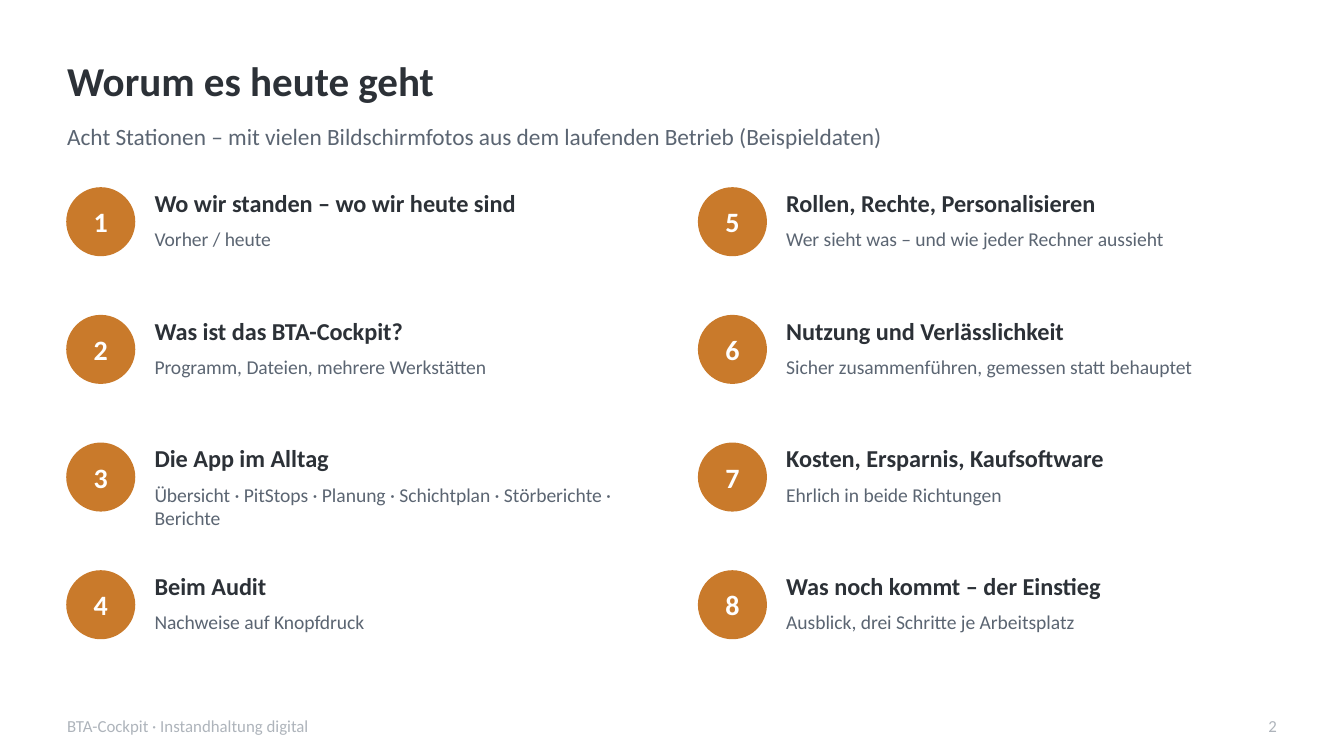
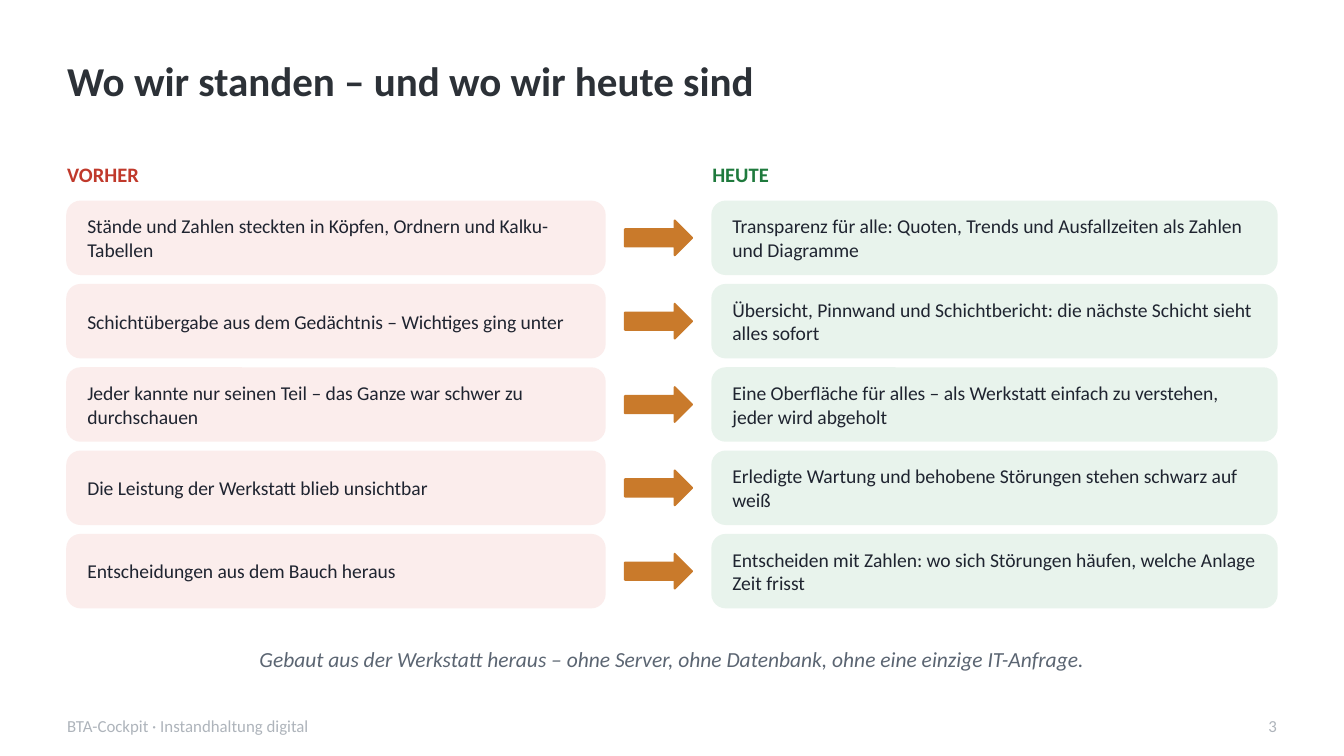
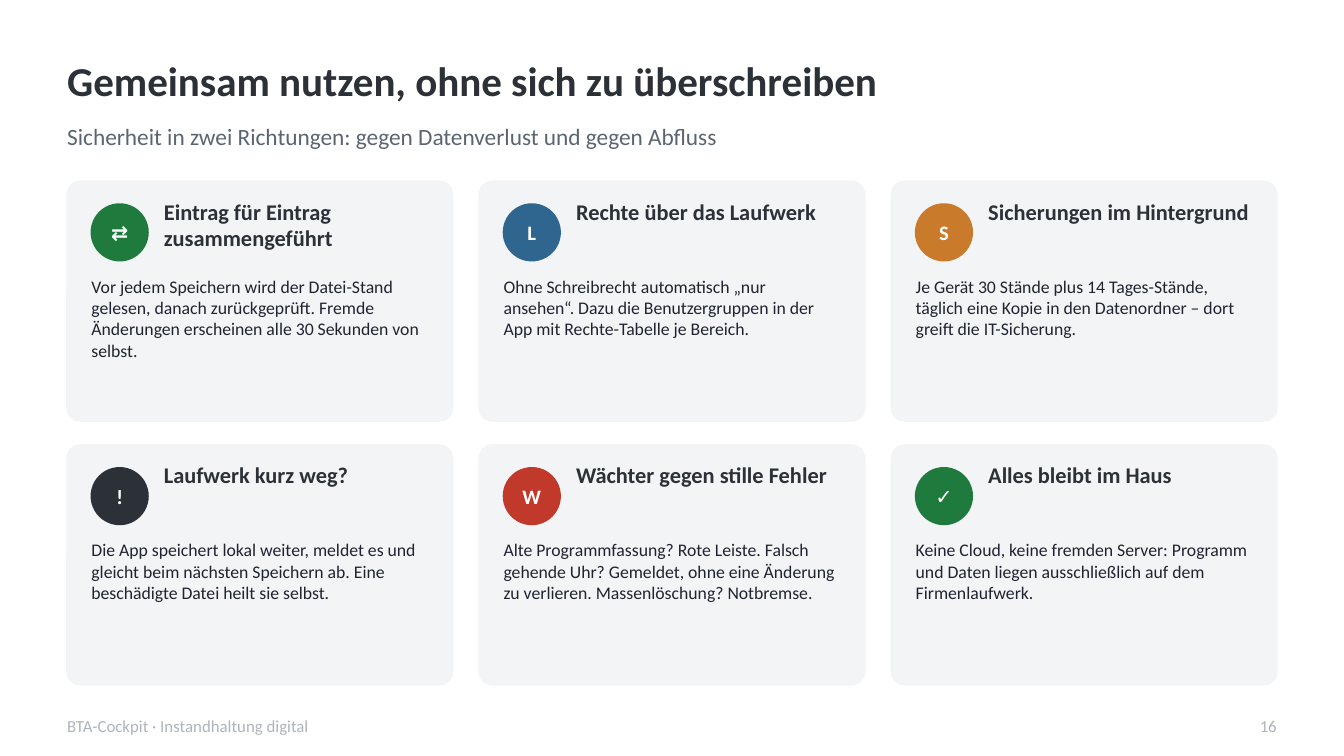
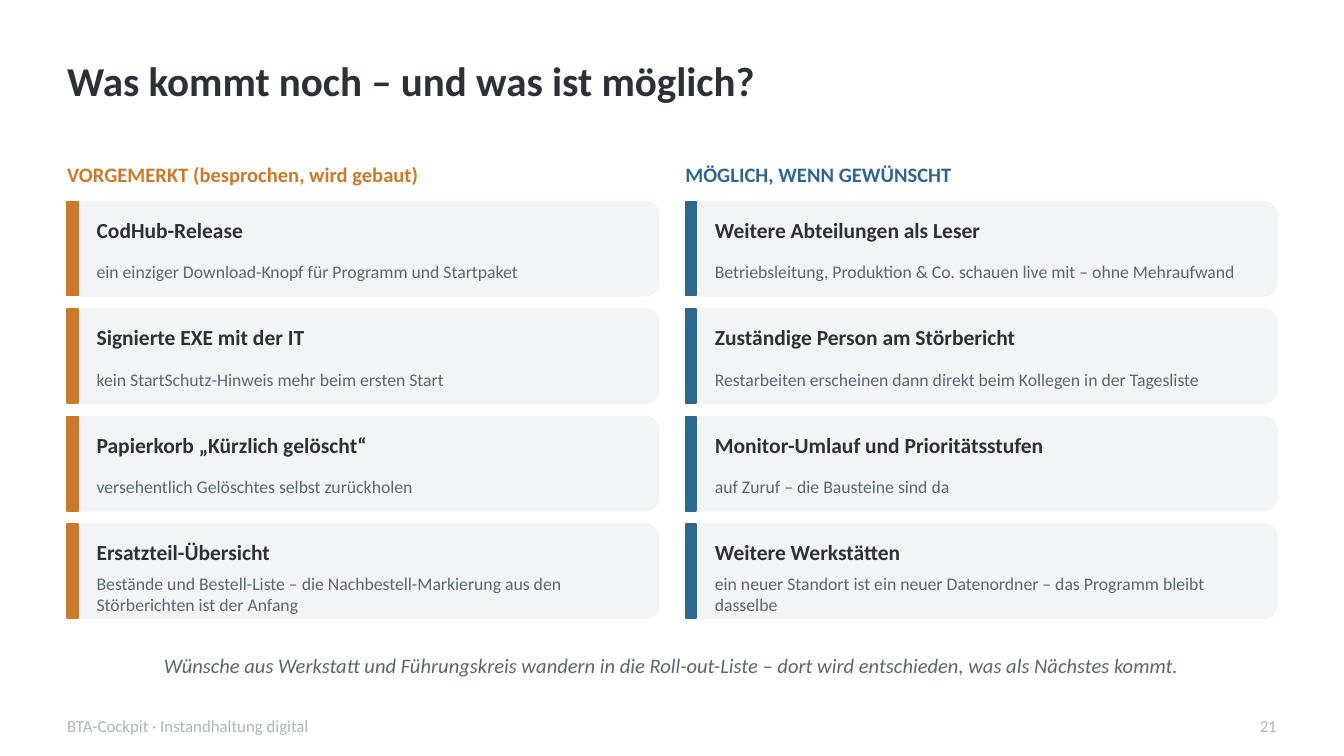
from pptx import Presentation
from pptx.dml.color import RGBColor
from pptx.enum.shapes import MSO_SHAPE
from pptx.enum.text import MSO_ANCHOR, PP_ALIGN
from pptx.util import Pt

FONT = "Calibri"
COLORS = {
    "ink": "2C3137", "body": "1F2430", "muted": "5B6572", "footer": "AEB4BB",
    "white": "FFFFFF", "panel": "F3F4F6", "orange": "C97A2B", "blue": "2F6690",
    "green": "1F7A3D", "red": "C0392B", "pale_red": "FBEDEC", "pale_green": "E8F3EC",
}
PAGE_W, PAGE_H = 720, 405
MARGIN = 36
CONTENT_W = PAGE_W - 2 * MARGIN
RADIUS = 7.2
FOOTER = "BTA-Cockpit · Instandhaltung digital"

AGENDA = {
    "title": "Worum es heute geht",
    "subtitle": "Acht Stationen – mit vielen Bildschirmfotos aus dem laufenden Betrieb (Beispieldaten)",
    "page": 2,
    "stations": [
        ("Wo wir standen – wo wir heute sind", "Vorher / heute"),
        ("Was ist das BTA-Cockpit?", "Programm, Dateien, mehrere Werkstätten"),
        ("Die App im Alltag",
         "Übersicht · PitStops · Planung · Schichtplan · Störberichte · Berichte"),
        ("Beim Audit", "Nachweise auf Knopfdruck"),
        ("Rollen, Rechte, Personalisieren", "Wer sieht was – und wie jeder Rechner aussieht"),
        ("Nutzung und Verlässlichkeit", "Sicher zusammenführen, gemessen statt behauptet"),
        ("Kosten, Ersparnis, Kaufsoftware", "Ehrlich in beide Richtungen"),
        ("Was noch kommt – der Einstieg", "Ausblick, drei Schritte je Arbeitsplatz"),
    ],
}
COMPARISON = {
    "title": "Wo wir standen – und wo wir heute sind",
    "page": 3,
    "before": "VORHER",
    "today": "HEUTE",
    "pairs": [
        ("Stände und Zahlen steckten in Köpfen, Ordnern und Kalku-Tabellen",
         "Transparenz für alle: Quoten, Trends und Ausfallzeiten als Zahlen und Diagramme"),
        ("Schichtübergabe aus dem Gedächtnis – Wichtiges ging unter",
         "Übersicht, Pinnwand und Schichtbericht: die nächste Schicht sieht alles sofort"),
        ("Jeder kannte nur seinen Teil – das Ganze war schwer zu durchschauen",
         "Eine Oberfläche für alles – als Werkstatt einfach zu verstehen, jeder wird abgeholt"),
        ("Die Leistung der Werkstatt blieb unsichtbar",
         "Erledigte Wartung und behobene Störungen stehen schwarz auf weiß"),
        ("Entscheidungen aus dem Bauch heraus",
         "Entscheiden mit Zahlen: wo sich Störungen häufen, welche Anlage Zeit frisst"),
    ],
    "closing": "Gebaut aus der Werkstatt heraus – ohne Server, ohne Datenbank, "
               "ohne eine einzige IT-Anfrage.",
}
SAFETY = {
    "title": "Gemeinsam nutzen, ohne sich zu überschreiben",
    "subtitle": "Sicherheit in zwei Richtungen: gegen Datenverlust und gegen Abfluss",
    "page": 16,
    "cards": [
        ("⇄", "green", "Eintrag für Eintrag zusammengeführt",
         "Vor jedem Speichern wird der Datei-Stand gelesen, danach zurückgeprüft. "
         "Fremde Änderungen erscheinen alle 30 Sekunden von selbst."),
        ("L", "blue", "Rechte über das Laufwerk",
         "Ohne Schreibrecht automatisch „nur ansehen“. Dazu die Benutzergruppen "
         "in der App mit Rechte-Tabelle je Bereich."),
        ("S", "orange", "Sicherungen im Hintergrund",
         "Je Gerät 30 Stände plus 14 Tages-Stände, täglich eine Kopie in den "
         "Datenordner – dort greift die IT-Sicherung."),
        ("!", "ink", "Laufwerk kurz weg?",
         "Die App speichert lokal weiter, meldet es und gleicht beim nächsten "
         "Speichern ab. Eine beschädigte Datei heilt sie selbst."),
        ("W", "red", "Wächter gegen stille Fehler",
         "Alte Programmfassung? Rote Leiste. Falsch gehende Uhr? Gemeldet, ohne eine "
         "Änderung zu verlieren. Massenlöschung? Notbremse."),
        ("✓", "green", "Alles bleibt im Haus",
         "Keine Cloud, keine fremden Server: Programm und Daten liegen "
         "ausschließlich auf dem Firmenlaufwerk."),
    ],
}
OUTLOOK = {
    "title": "Was kommt noch – und was ist möglich?",
    "page": 21,
    "columns": [
        ("VORGEMERKT (besprochen, wird gebaut)", "orange", [
            ("CodHub-Release", "ein einziger Download-Knopf für Programm und Startpaket"),
            ("Signierte EXE mit der IT", "kein StartSchutz-Hinweis mehr beim ersten Start"),
            ("Papierkorb „Kürzlich gelöscht“", "versehentlich Gelöschtes selbst zurückholen"),
            ("Ersatzteil-Übersicht",
             "Bestände und Bestell-Liste – die Nachbestell-Markierung aus den "
             "Störberichten ist der Anfang"),
        ]),
        ("MÖGLICH, WENN GEWÜNSCHT", "blue", [
            ("Weitere Abteilungen als Leser",
             "Betriebsleitung, Produktion & Co. schauen live mit – ohne Mehraufwand"),
            ("Zuständige Person am Störbericht",
             "Restarbeiten erscheinen dann direkt beim Kollegen in der Tagesliste"),
            ("Monitor-Umlauf und Prioritätsstufen", "auf Zuruf – die Bausteine sind da"),
            ("Weitere Werkstätten",
             "ein neuer Standort ist ein neuer Datenordner – das Programm bleibt dasselbe"),
        ]),
    ],
    "closing": "Wünsche aus Werkstatt und Führungskreis wandern in die Roll-out-Liste – "
               "dort wird entschieden, was als Nächstes kommt.",
}


def rgb(name):
    """Return the palette colour of that name."""
    return RGBColor.from_string(COLORS[name])


def write(shape, text, size, color, bold=False, italic=False, align=PP_ALIGN.LEFT,
          anchor=MSO_ANCHOR.MIDDLE, left=0, right=0):
    """Fill a shape's text frame with one formatted paragraph."""
    frame = shape.text_frame
    frame.word_wrap = True
    frame.vertical_anchor = anchor
    frame.margin_left, frame.margin_right = Pt(left), Pt(right)
    frame.margin_top = frame.margin_bottom = 0
    paragraph = frame.paragraphs[0]
    paragraph.alignment = align
    run = paragraph.add_run()
    run.text = text
    font = run.font
    font.name, font.size, font.bold, font.italic = FONT, Pt(size), bold, italic
    font.color.rgb = rgb(color)


def add_text(slide, x, y, w, h, text, size, color, **style):
    """Add a text box without insets."""
    box = slide.shapes.add_textbox(Pt(x), Pt(y), Pt(w), Pt(h))
    write(box, text, size, color, **style)


def add_block(slide, kind, x, y, w, h, color):
    """Add a preset shape whose line matches its fill."""
    shape = slide.shapes.add_shape(kind, Pt(x), Pt(y), Pt(w), Pt(h))
    shape.shadow.inherit = False
    shape.fill.solid()
    shape.fill.fore_color.rgb = rgb(color)
    shape.line.color.rgb = rgb(color)
    shape.line.width = Pt(1)
    if kind == MSO_SHAPE.ROUNDED_RECTANGLE:
        shape.adjustments[0] = RADIUS / min(w, h)
    return shape


def add_badge(slide, x, y, diameter, text, size, color):
    """Add a coloured circle with a white centred sign."""
    circle = add_block(slide, MSO_SHAPE.OVAL, x, y, diameter, diameter, color)
    write(circle, text, size, "white", bold=True, align=PP_ALIGN.CENTER)


def add_column_heading(slide, x, w, text, color):
    """Add the small heading above a column of cards."""
    add_text(slide, x, 82.8, w, 21.6, text, 11, color, bold=True)


def add_closing(slide, y, text, size):
    """Add the centred closing sentence in italics."""
    add_text(slide, MARGIN, y, CONTENT_W, 28.8, text, size, "muted",
             italic=True, align=PP_ALIGN.CENTER)


def start_slide(prs, content):
    """Add a slide with title, optional subtitle, footer and page number."""
    slide = prs.slides.add_slide(prs.slide_layouts[5])
    title = slide.shapes.title
    title.left, title.top, title.width, title.height = (
        Pt(MARGIN), Pt(23), Pt(CONTENT_W), Pt(39.6))
    write(title, content["title"], 22, "ink", bold=True)
    if "subtitle" in content:
        add_text(slide, MARGIN, 62, CONTENT_W, 21.6, content["subtitle"], 12.5, "muted")
    add_text(slide, MARGIN, 380, 432, 18, FOOTER, 9, "footer")
    add_text(slide, PAGE_W - MARGIN - 36, 380, 36, 18, str(content["page"]), 9, "footer",
             align=PP_ALIGN.RIGHT)
    return slide


def build_agenda(prs):
    """Numbered stations in two columns of four."""
    slide = start_slide(prs, AGENDA)
    for i, (heading, detail) in enumerate(AGENDA["stations"]):
        column, row = divmod(i, 4)
        x, y = MARGIN + 338.4 * column, 100.8 + 68.4 * row
        add_badge(slide, x, y, 36, str(i + 1), 15, "orange")
        add_text(slide, x + 46.8, y - 3.6, 266.4, 23, heading, 13, "ink", bold=True)
        add_text(slide, x + 46.8, y + 20.9, 266.4, 36, detail, 10.5, "muted",
                 anchor=MSO_ANCHOR.TOP)


def build_comparison(prs):
    """Pairs of cards, each joined by an arrow from before to today."""
    slide = start_slide(prs, COMPARISON)
    before_w, gap, height, step = 288, 57.6, 38.9, 44.64
    today_x = MARGIN + before_w + gap
    today_w = PAGE_W - MARGIN - today_x
    arrow_w, arrow_h = 36, 18.7
    arrow_x = MARGIN + before_w + (gap - arrow_w) / 2
    add_column_heading(slide, MARGIN, before_w, COMPARISON["before"], "red")
    add_column_heading(slide, today_x, today_w, COMPARISON["today"], "green")
    for i, (before, today) in enumerate(COMPARISON["pairs"]):
        y = 108 + step * i
        for x, w, text, color in ((MARGIN, before_w, before, "pale_red"),
                                  (today_x, today_w, today, "pale_green")):
            card = add_block(slide, MSO_SHAPE.ROUNDED_RECTANGLE, x, y, w, height, color)
            write(card, text, 10.5, "body", left=8.7, right=5.1)
        add_block(slide, MSO_SHAPE.RIGHT_ARROW, arrow_x, y + (height - arrow_h) / 2,
                  arrow_w, arrow_h, "orange")
    add_closing(slide, 338.4, COMPARISON["closing"], 11.5)


def build_safety(prs):
    """Six cards in a grid of three columns."""
    slide = start_slide(prs, SAFETY)
    columns, gap, height, pad = 3, 14.4, 128.3, 13
    width = (CONTENT_W - (columns - 1) * gap) / columns
    for i, (sign, color, heading, body) in enumerate(SAFETY["cards"]):
        row, column = divmod(i, columns)
        x, y = MARGIN + (width + gap) * column, 97.2 + (height + pad) * row
        add_block(slide, MSO_SHAPE.ROUNDED_RECTANGLE, x, y, width, height, "panel")
        add_badge(slide, x + pad, y + 12.2, 30.2, sign, 11, color)
        add_text(slide, x + 51.8, y + 8.7, width - 51.8 - pad, 36, heading, 12, "ink",
                 bold=True, anchor=MSO_ANCHOR.TOP)
        add_text(slide, x + pad, y + 50.4, width - 2 * pad, 70.6, body, 9.5, "body",
                 anchor=MSO_ANCHOR.TOP)


def build_outlook(prs):
    """Two columns of cards with a coloured bar at the left edge."""
    slide = start_slide(prs, OUTLOOK)
    gap, height, step = 14.4, 50.4, 57.6
    width = (CONTENT_W - gap) / 2
    for column, (heading, color, plans) in enumerate(OUTLOOK["columns"]):
        x = MARGIN + (width + gap) * column
        add_column_heading(slide, x, width, heading, color)
        for row, (name, detail) in enumerate(plans):
            y = 108 + step * row
            add_block(slide, MSO_SHAPE.ROUNDED_RECTANGLE, x, y, width, height, "panel")
            add_block(slide, MSO_SHAPE.RECTANGLE, x, y, 5.8, height, color)
            add_text(slide, x + 15.8, y + 4.3, 295.2, 21.6, name, 11.5, "ink", bold=True)
            add_text(slide, x + 15.8, y + 25.9, 295.2, 23, detail, 9.5, "muted")
    add_closing(slide, 342, OUTLOOK["closing"], 11)


def main():
    """Build and save the presentation."""
    prs = Presentation()
    prs.slide_width, prs.slide_height = Pt(PAGE_W), Pt(PAGE_H)
    for build in (build_agenda, build_comparison, build_safety, build_outlook):
        build(prs)
    prs.save("out.pptx")


main()
